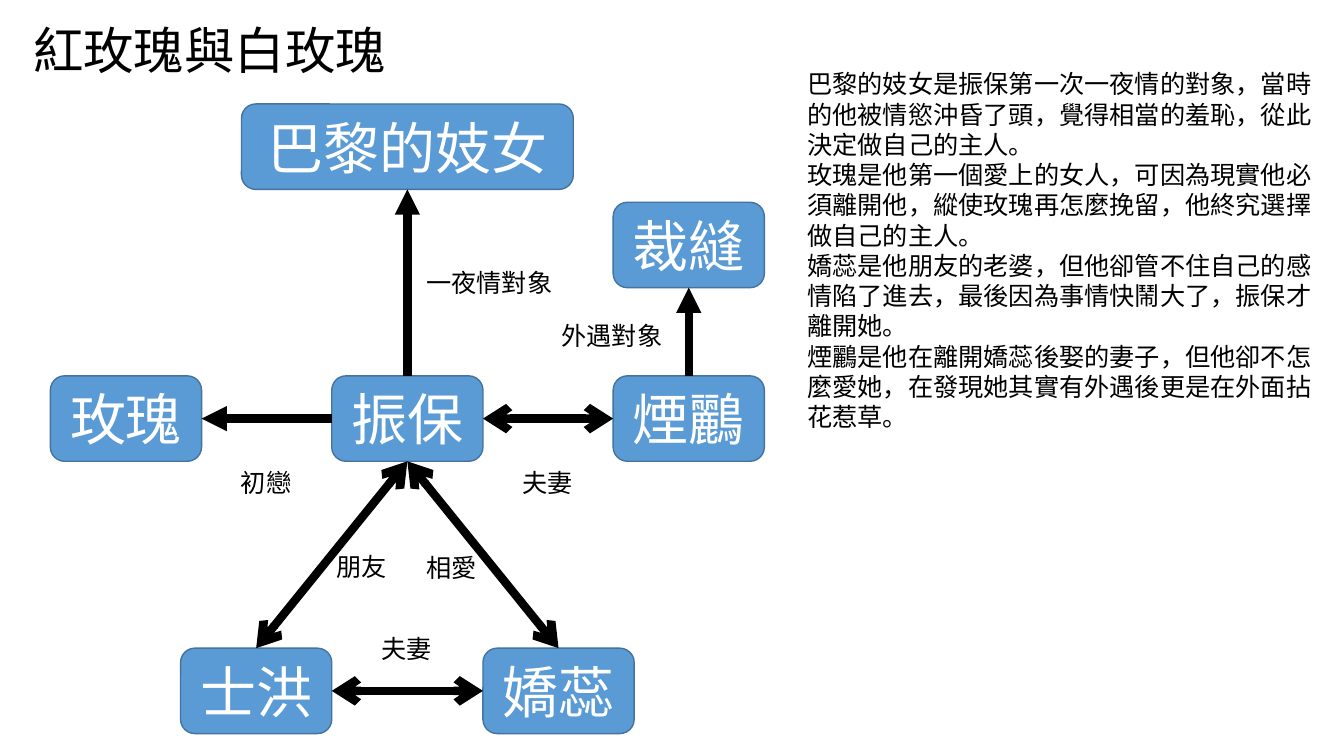
from typing import NamedTuple

from lxml.etree import SubElement
from pptx import Presentation
from pptx.dml.color import RGBColor
from pptx.enum.shapes import MSO_CONNECTOR as Connector, MSO_SHAPE as Shape
from pptx.enum.text import MSO_ANCHOR as Anchor, MSO_AUTO_SIZE as AutoSize, PP_ALIGN as Align
from pptx.oxml.ns import qn
from pptx.util import Pt

FONT = "Calibri"
BLACK, WHITE, BLUE, EDGE = "000000", "FFFFFF", "5B9BD5", "43739E"
BOX_W, BOX_H = 108, 61
TOP, LEFT, BOTTOM, RIGHT = range(4)  # connection sites of a box


class Person(NamedTuple):
    name: str
    cx: float
    cy: float
    width: float = BOX_W


class Relation(NamedTuple):
    start: str
    start_site: int
    end: str
    end_site: int
    mutual: bool = False


class Label(NamedTuple):
    text: str
    x: float
    y: float


# Cast: centre points, built around 振保
MID_X, MID_Y, LOW_Y = 291, 299, 493.5
COLUMN, HALF = 201, 108
PEOPLE = [
    Person("振保", MID_X, MID_Y),
    Person("巴黎的妓女", MID_X, 104.8, 237),
    Person("玫瑰", MID_X - COLUMN, MID_Y),
    Person("煙鸝", MID_X + COLUMN, MID_Y),
    Person("裁縫", MID_X + COLUMN, 175),
    Person("士洪", MID_X - HALF, LOW_Y),
    Person("嬌蕊", MID_X + HALF, LOW_Y),
]

RELATIONS = [
    Relation("振保", TOP, "巴黎的妓女", BOTTOM),
    Relation("振保", LEFT, "玫瑰", RIGHT),
    Relation("煙鸝", TOP, "裁縫", BOTTOM),
    Relation("振保", RIGHT, "煙鸝", LEFT, mutual=True),
    Relation("振保", BOTTOM, "嬌蕊", TOP, mutual=True),
    Relation("振保", BOTTOM, "士洪", TOP, mutual=True),
    Relation("士洪", RIGHT, "嬌蕊", LEFT, mutual=True),
]

LABELS = [
    Label("一夜情對象", 297.5, 187.5),
    Label("外遇對象", 394, 225.5),
    Label("初戀", 165, 330),
    Label("夫妻", 366, 330),
    Label("朋友", 233, 390.5),
    Label("相愛", 297.5, 391),
    Label("夫妻", 265.5, 448.5),
]

STORY = [
    "巴黎的妓女是振保第一次一夜情的對象，當時的他被情慾沖昏了頭，覺得相當的羞恥，從此決定做自己的主人。",
    "玫瑰是他第一個愛上的女人，可因為現實他必須離開他，縱使玫瑰再怎麼挽留，他終究選擇做自己的主人。",
    "嬌蕊是他朋友的老婆，但他卻管不住自己的感情陷了進去，最後因為事情快鬧大了，振保才離開她。",
    "煙鸝是他在離開嬌蕊後娶的妻子，但他卻不怎麼愛她，在發現她其實有外遇後更是在外面拈花惹草。",
]


def rgb(value: str) -> RGBColor:
    return RGBColor.from_string(value)


def place(s, x: float, y: float, w: float, h: float) -> None:
    s.left, s.top, s.width, s.height = Pt(x), Pt(y), Pt(w), Pt(h)


def write(s, lines: list[str], size: float, color: str = BLACK, align=Align.LEFT,
          anchor=Anchor.TOP, wrap: bool = True, fit=AutoSize.NONE) -> None:
    tf = s.text_frame
    tf.text = "\n".join(lines)
    tf.word_wrap, tf.auto_size, tf.vertical_anchor = wrap, fit, anchor
    for p in tf.paragraphs:
        p.alignment = align
        p.font.name, p.font.size, p.font.color.rgb = FONT, Pt(size), rgb(color)


def draw_person(shapes, person: Person):
    s = shapes.add_shape(Shape.ROUNDED_RECTANGLE, Pt(person.cx - person.width / 2),
                         Pt(person.cy - BOX_H / 2), Pt(person.width), Pt(BOX_H))
    s.shadow.inherit = False
    s.fill.solid()
    s.fill.fore_color.rgb = rgb(BLUE)
    s.line.color.rgb = rgb(EDGE)
    s.line.width = Pt(1)
    write(s, [person.name], 40, WHITE, Align.CENTER, Anchor.MIDDLE)
    return s


def draw_relation(shapes, relation: Relation, boxes: dict) -> None:
    c = shapes.add_connector(Connector.STRAIGHT, 0, 0, 0, 0)
    c.begin_connect(boxes[relation.start], relation.start_site)
    c.end_connect(boxes[relation.end], relation.end_site)
    c.line.color.rgb = rgb(BLACK)
    c.line.width = Pt(6)
    ln = c.line._get_or_add_ln()
    if relation.mutual:
        SubElement(ln, qn("a:headEnd"), type="arrow")
    SubElement(ln, qn("a:tailEnd"), type="arrow" if relation.mutual else "triangle")
    SubElement(c._element.spPr, qn("a:effectLst"))


def draw_label(shapes, label: Label) -> None:
    s = shapes.add_textbox(Pt(label.x), Pt(label.y), Pt(18 * len(label.text) + 15), Pt(29))
    write(s, [label.text], 18, wrap=False, fit=AutoSize.SHAPE_TO_FIT_TEXT)


prs = Presentation()
prs.slide_width, prs.slide_height = Pt(960), Pt(540)
slide = prs.slides.add_slide(prs.slide_layouts[1])
title, body = slide.placeholders

# Title
place(title, 16.5, 10, 269, 51)
write(title, ["紅玫瑰與白玫瑰"], 36, wrap=False)

# Story, without bullets
place(body, 569.5, 45.5, 376, 269)
write(body, STORY, 18)
for p in body.text_frame.paragraphs:
    p.space_before = Pt(0)
    pPr = p._p.get_or_add_pPr()
    pPr.set("marL", "0")
    pPr.set("indent", "0")
    pPr.insert_element_before(pPr.makeelement(qn("a:buNone")), "a:tabLst", "a:defRPr", "a:extLst")

# Relationship map
boxes = {person.name: draw_person(slide.shapes, person) for person in PEOPLE}
for relation in RELATIONS:
    draw_relation(slide.shapes, relation, boxes)
for label in LABELS:
    draw_label(slide.shapes, label)

prs.save("out.pptx")
